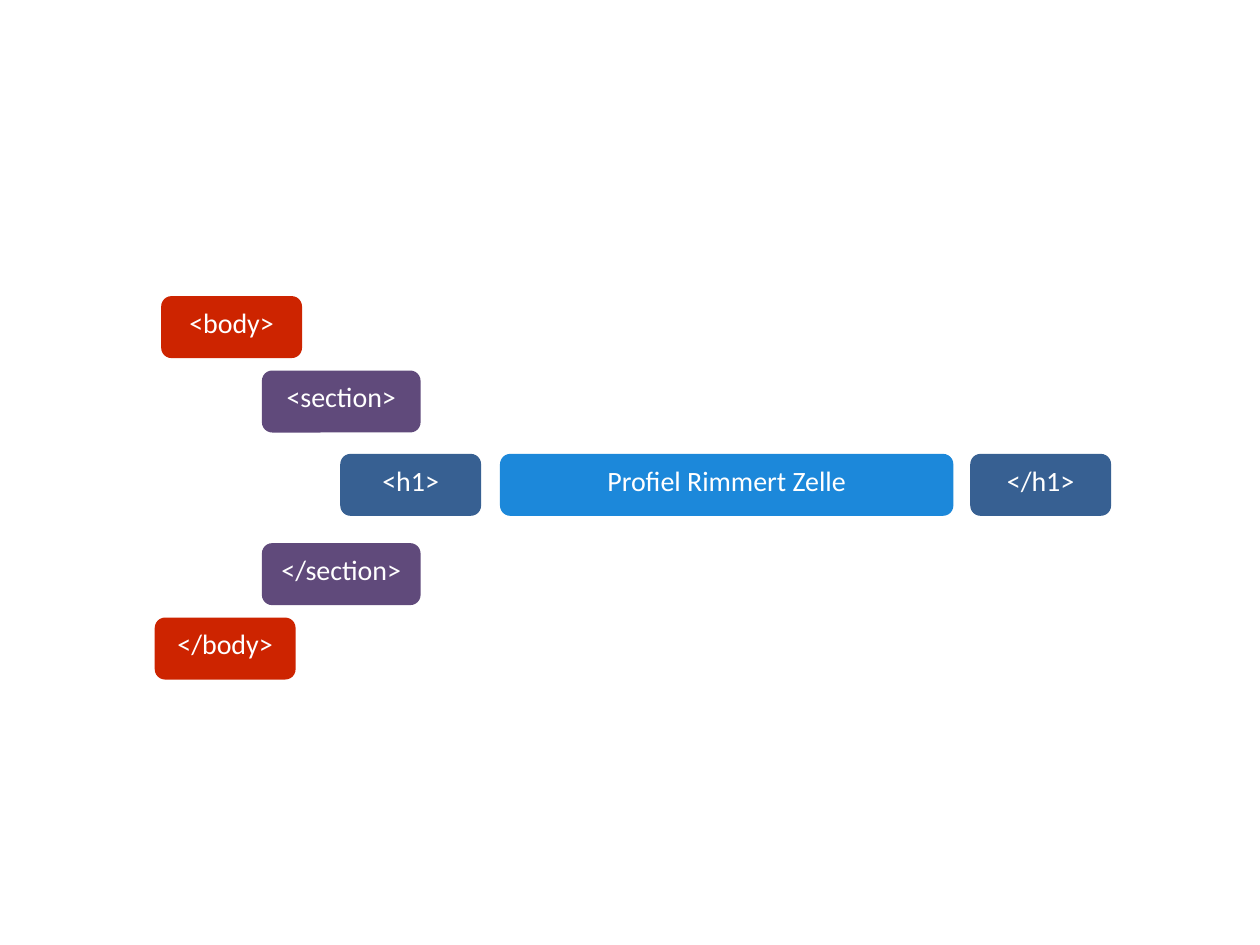
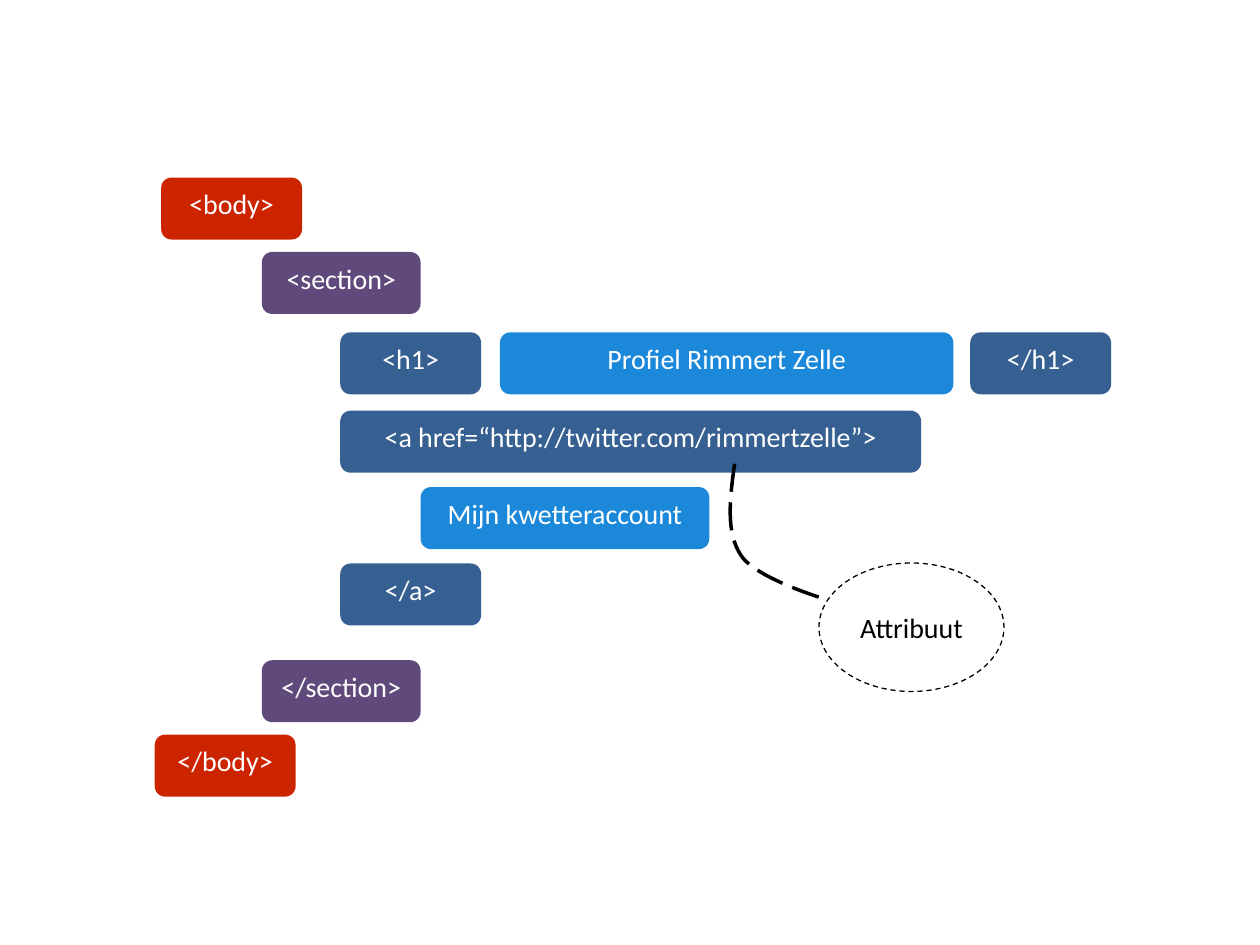
from dataclasses import dataclass

from lxml.etree import SubElement
from pptx import Presentation
from pptx.dml.color import RGBColor
from pptx.enum.dml import MSO_LINE
from pptx.enum.shapes import MSO_SHAPE
from pptx.enum.text import MSO_ANCHOR, PP_ALIGN
from pptx.oxml.ns import qn
from pptx.util import Cm, Pt


@dataclass(frozen=True)
class Theme:
    red: RGBColor = RGBColor(0xCD, 0x24, 0x00)
    purple: RGBColor = RGBColor(0x60, 0x4A, 0x7B)
    navy: RGBColor = RGBColor(0x37, 0x60, 0x92)
    blue: RGBColor = RGBColor(0x1C, 0x88, 0xDA)
    white: RGBColor = RGBColor(0xFF, 0xFF, 0xFF)
    black: RGBColor = RGBColor(0x00, 0x00, 0x00)
    font: str = "Calibri"
    size: Pt = Pt(16)


THEME = Theme()

# Shared measures in cm
LEFT = 3.12
TAG, WIDE, HIGH = 2.84, 3.2, 1.25
STEP = 1.5       # from body to section
INDENT = 3.74    # from the page edge of the outline to the content


def label(shape, text, color, anchor):
    shape.shadow.inherit = False
    frame = shape.text_frame
    frame.word_wrap = True
    frame.vertical_anchor = anchor
    para = frame.paragraphs[0]
    para.text = text
    para.alignment = PP_ALIGN.CENTER
    para.font.name = THEME.font
    para.font.size = THEME.size
    para.font.color.rgb = color


def block(slide, text, left, top, width, fill):
    shape = slide.shapes.add_shape(MSO_SHAPE.ROUNDED_RECTANGLE,
                                   Cm(left), Cm(top), Cm(width), Cm(HIGH))
    shape.fill.solid()
    shape.fill.fore_color.rgb = fill
    shape.line.fill.background()
    label(shape, text, THEME.white, MSO_ANCHOR.TOP)


def dashed(shape, width, dash):
    shape.fill.background()
    shape.line.color.rgb = THEME.black
    shape.line.width = Pt(width)
    shape.line.dash_style = dash


def outline(slide, left, top, height):
    """Opening tags at the top of the box, closing tags at its foot."""
    foot = top + height - HIGH
    block(slide, "<body>", left + 0.13, top, TAG, THEME.red)
    block(slide, "</body>", left, foot, TAG, THEME.red)
    for text, y in (("<section>", top + STEP), ("</section>", foot - STEP)):
        block(slide, text, left + 2.16, y, WIDE, THEME.purple)


def heading(slide, left, top):
    block(slide, "<h1>", left, top, TAG, THEME.navy)
    block(slide, "Profiel Rimmert Zelle", left + 3.22, top, 9.14, THEME.blue)
    block(slide, "</h1>", left + 12.7, top, TAG, THEME.navy)


def link(slide, left, top):
    rows = (
        ("<a href=“http://twitter.com/rimmertzelle”>", 0, 11.71, THEME.navy),
        ("Mijn kwetteraccount", 1.62, 5.82, THEME.blue),
        ("</a>", 0, TAG, THEME.navy),
    )
    for i, (text, shift, width, fill) in enumerate(rows):
        block(slide, text, left + shift, top + i * 1.54, width, fill)


def curve(slide, points):
    """Smooth line: a start point, then three points for each Bézier part."""
    start, *rest = [(Cm(x), Cm(y)) for x, y in points]
    maker = slide.shapes.build_freeform(*start)
    maker.add_line_segments(rest, close=False)
    shape = maker.convert_to_shape()
    shape.shadow.inherit = False
    # Turn each three straight steps into one cubic part
    track = shape._element.find(".//" + qn("a:path"))
    lines = track.findall(qn("a:lnTo"))
    for i in range(0, len(lines), 3):
        cubic = SubElement(track, qn("a:cubicBezTo"))
        for line in lines[i:i + 3]:
            cubic.append(line[0])
            track.remove(line)
    return shape


def remark(slide, left, top):
    """Dashed oval with a line up to the attribute."""
    oval = slide.shapes.add_shape(MSO_SHAPE.OVAL, Cm(left), Cm(top),
                                  Cm(3.73), Cm(2.59))
    dashed(oval, 0.75, MSO_LINE.DASH)
    label(oval, "Attribuut", THEME.black, MSO_ANCHOR.MIDDLE)
    bends = ((-1.7, -2), (-1.8, -1.29), (-1.88, -0.61), (-1.57, -0.15),
             (-1.27, 0.31), (0.1, 0.72), (0.1, 0.72))
    tail = curve(slide, [(left + x, top + y) for x, y in bends])
    dashed(tail, 2, MSO_LINE.LONG_DASH)


def main():
    deck = Presentation()
    deck.slide_width, deck.slide_height = Cm(25.4), Cm(19.05)
    blank = deck.slide_layouts[6]

    # Heading only
    slide = deck.slides.add_slide(blank)
    outline(slide, LEFT, 5.97, 7.73)
    heading(slide, LEFT + INDENT, 9.15)

    # Heading and link
    slide = deck.slides.add_slide(blank)
    outline(slide, LEFT, 3.58, 12.48)
    heading(slide, LEFT + INDENT, 6.7)
    link(slide, LEFT + INDENT, 8.28)
    remark(slide, 16.51, 11.35)

    deck.save("out.pptx")


if __name__ == "__main__":
    main()
